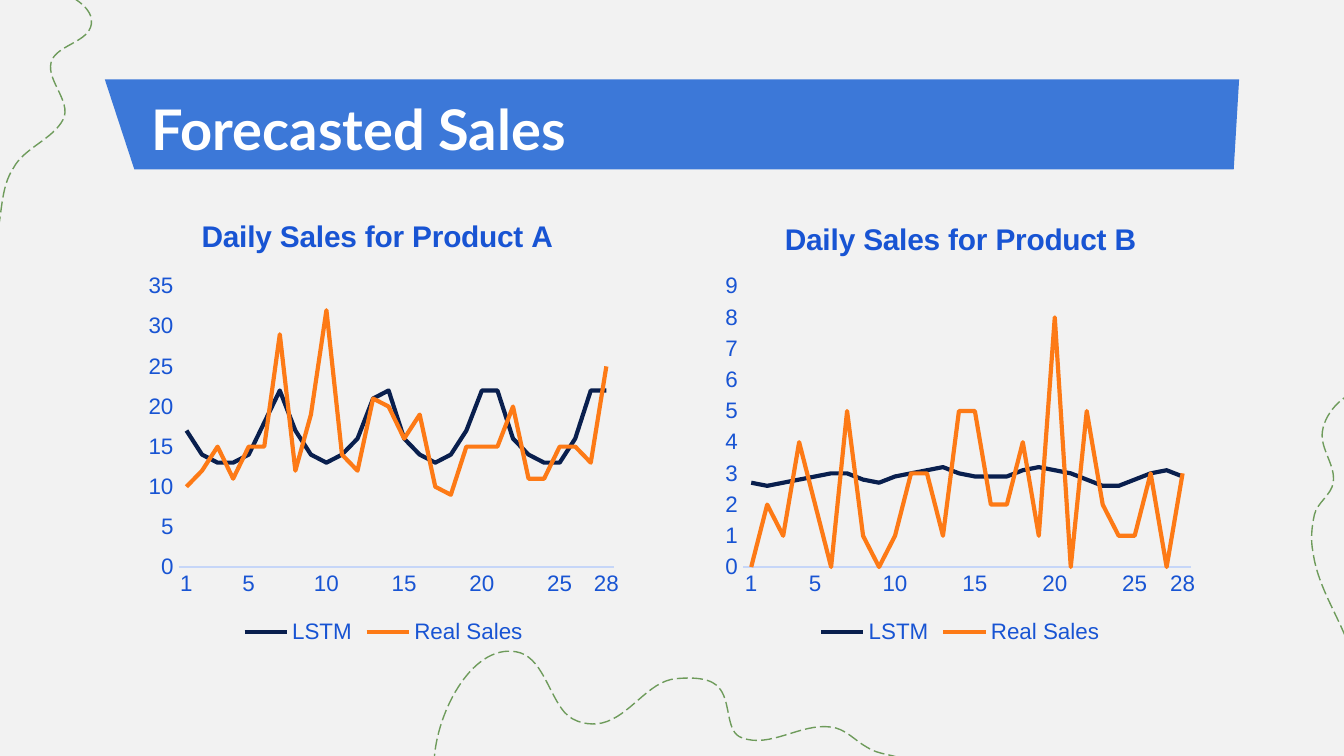
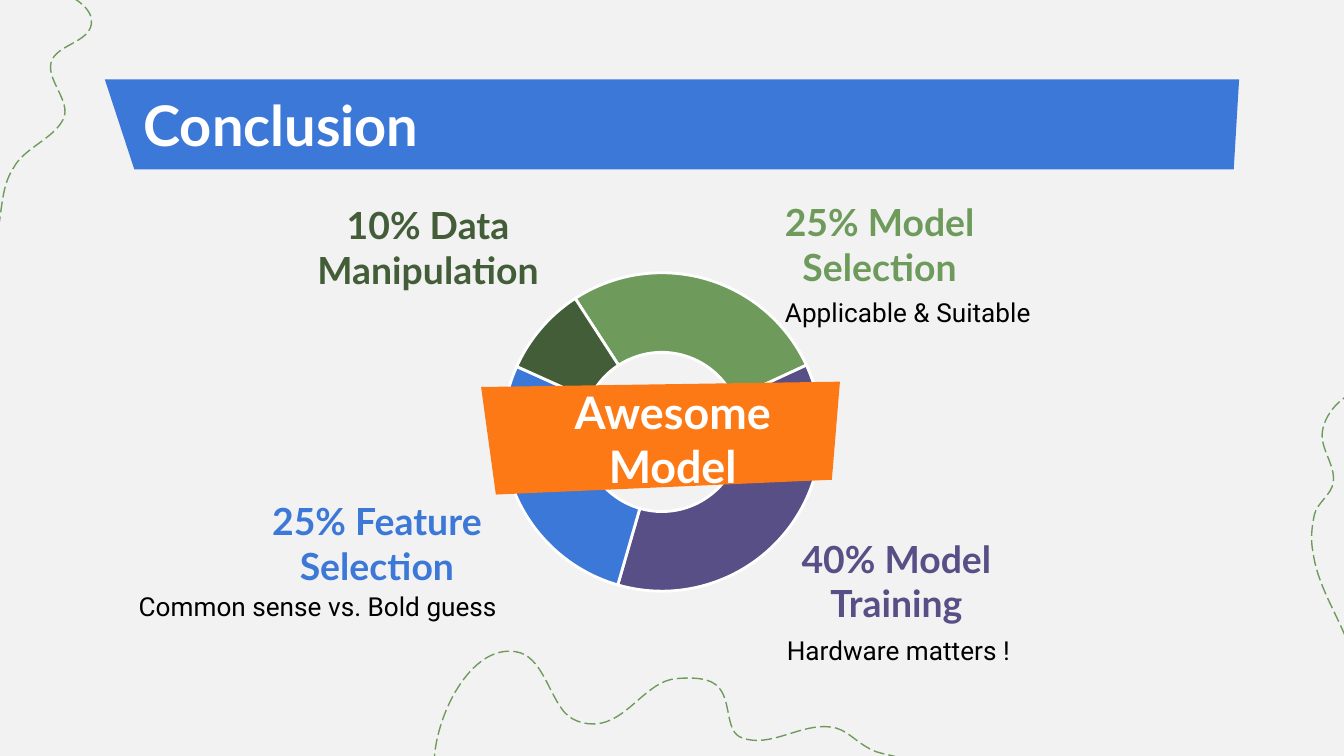
from collections import namedtuple

from lxml import etree
from pptx import Presentation
from pptx.chart.data import CategoryChartData
from pptx.dml.color import RGBColor
from pptx.enum.chart import XL_CHART_TYPE, XL_LEGEND_POSITION, XL_MARKER_STYLE, XL_TICK_MARK
from pptx.enum.dml import MSO_LINE
from pptx.enum.text import MSO_ANCHOR, PP_ALIGN
from pptx.oxml.ns import qn
from pptx.util import Inches, Pt

LINE_CHART = XL_CHART_TYPE.LINE
DOUGHNUT = XL_CHART_TYPE.DOUGHNUT
LEGEND_BOTTOM = XL_LEGEND_POSITION.BOTTOM
NO_MARKER = XL_MARKER_STYLE.NONE
NO_TICK = XL_TICK_MARK.NONE
LONG_DASH = MSO_LINE.LONG_DASH
MIDDLE = MSO_ANCHOR.MIDDLE
LEFT = PP_ALIGN.LEFT
CENTER = PP_ALIGN.CENTER

PAPER = RGBColor(0xF2, 0xF2, 0xF2)
WHITE = RGBColor(0xFF, 0xFF, 0xFF)
BLACK = RGBColor(0x00, 0x00, 0x00)
BLUE = RGBColor(0x3C, 0x78, 0xD8)
GREEN = RGBColor(0x6E, 0x9B, 0x5B)
DARK_GREEN = RGBColor(0x42, 0x5D, 0x37)
PURPLE = RGBColor(0x57, 0x4F, 0x85)
ORANGE = RGBColor(0xFD, 0x7A, 0x16)
RIBBON_ORANGE = RGBColor(0xFD, 0x79, 0x15)
NAVY = RGBColor(0x09, 0x1F, 0x4E)
CHART_BLUE = RGBColor(0x18, 0x54, 0xD3)
AXIS_BLUE = RGBColor(0xC6, 0xD6, 0xF8)

HEAD_FONT = "Lato"
NOTE_FONT = "Roboto"
CHART_FONT = "Arial"

Box = namedtuple("Box", "left top width height")

BAND = Box(0.78, 0.59, 8.44, 0.67)
BAND_CORNERS = [(0, 0), (0.22, 0.67), (8.4, 0.67), (8.44, 0)]
RIBBON_CORNERS = [(2.67, 0), (0, 0.04), (0.11, 0.84), (2.61, 0.73)]

WAVES = [
    [(3.23, 5.69), (3.23, 5.34), (3.5, 4.79), (3.84, 4.85),
     (4.03, 4.88), (4.08, 5.16), (4.2, 5.3), (4.27, 5.38), (4.39, 5.4), (4.48, 5.38),
     (4.69, 5.33), (4.82, 5.07), (5.03, 5.05), (5.15, 5.04), (5.3, 5.04), (5.36, 5.13),
     (5.44, 5.24), (5.4, 5.45), (5.52, 5.49), (5.73, 5.57), (5.96, 5.38), (6.18, 5.41),
     (6.29, 5.42), (6.36, 5.51), (6.45, 5.56), (6.54, 5.62), (6.65, 5.61), (6.74, 5.66)],
    [(0.44, -0.06), (0.55, -0.03), (0.7, 0.07), (0.68, 0.18),
     (0.66, 0.31), (0.45, 0.33), (0.39, 0.44), (0.32, 0.58), (0.54, 0.75), (0.47, 0.89),
     (0.39, 1.04), (0.18, 1.1), (0.1, 1.25), (0, 1.4), (0.02, 1.6), (-0.03, 1.77)],
    [(10.17, 2.9), (10.02, 2.9), (9.86, 3.06), (9.84, 3.21),
     (9.82, 3.34), (9.94, 3.46), (9.92, 3.59), (9.91, 3.68), (9.8, 3.74), (9.78, 3.83),
     (9.76, 3.92), (9.75, 4.02), (9.77, 4.11), (9.81, 4.41), (10.02, 4.66), (10.08, 4.95)],
]

DAYS = [str(day) if day in (1, 5, 10, 15, 20, 25, 28) else "" for day in range(1, 29)]
PRODUCT_A = {
    "LSTM": [17, 14, 13, 13, 14, 18, 22, 17, 14, 13, 14, 16, 21, 22,
             16, 14, 13, 14, 17, 22, 22, 16, 14, 13, 13, 16, 22, 22],
    "Real Sales": [10, 12, 15, 11, 15, 15, 29, 12, 19, 32, 14, 12, 21, 20,
                   16, 19, 10, 9, 15, 15, 15, 20, 11, 11, 15, 15, 13, 25],
}
PRODUCT_B = {
    "LSTM": [2.7, 2.6, 2.7, 2.8, 2.9, 3, 3, 2.8, 2.7, 2.9, 3, 3.1, 3.2, 3,
             2.9, 2.9, 2.9, 3.1, 3.2, 3.1, 3, 2.8, 2.6, 2.6, 2.8, 3, 3.1, 2.9],
    "Real Sales": [0, 2, 1, 4, 2, 0, 5, 1, 0, 1, 3, 3, 1, 5,
                   5, 2, 2, 4, 1, 8, 0, 5, 2, 1, 1, 3, 0, 3],
}

SHARES = [(27, GREEN), (36, PURPLE), (27, BLUE), (9, DARK_GREEN)]
HEADINGS = [
    ("10% Data Manipulation", Box(1.85, 1.63, 2.67, 0.42), DARK_GREEN, 0),
    ("25% Model Selection", Box(5.29, 1.54, 2.51, 0.55), GREEN, 4),
    ("25% Feature Selection", Box(1.61, 3.83, 2.39, 0.42), BLUE, 0),
    ("40% Model Training", Box(5.68, 4.11, 1.98, 0.42), PURPLE, 0),
]
NOTES = [
    ("Common sense vs. Bold guess", 0.9, 4.3),
    ("Applicable & Suitable", 5.29, 2.11),
    ("Hardware matters !", 5.22, 4.63),
]


def inches(box):
    """Turn a box or point into lengths."""
    return [Inches(value) for value in box]


def set_font(font, size, color, name=CHART_FONT, bold=False):
    """Set the look of a font."""
    font.name = name
    font.size = Pt(size)
    font.bold = bold
    font.color.rgb = color


def add_text(page, box, text, size=20, font=HEAD_FONT, color=WHITE, bold=True,
             align=CENTER, space_after=0):
    """Add a wrapped, vertically centred text box."""
    frame = page.shapes.add_textbox(*inches(box)).text_frame
    frame.word_wrap = True
    frame.vertical_anchor = MIDDLE
    frame.margin_left = frame.margin_right = Inches(0.1)
    frame.margin_top = frame.margin_bottom = Inches(0.1)
    para = frame.paragraphs[0]
    para.alignment = align
    para.space_after = Pt(space_after)
    span = para.add_run()
    span.text = text
    set_font(span.font, size, color, font, bold)


def add_outline(page, points, closed):
    """Draw straight segments through points given in inches."""
    start, *rest = [inches(point) for point in points]
    builder = page.shapes.build_freeform(*start, scale=1.0)
    builder.add_line_segments(rest, close=closed)
    shape = builder.convert_to_shape()
    shape.shadow.inherit = False
    return shape


def add_panel(page, box, corners, color):
    """Draw a filled polygon with corners relative to its box."""
    panel = add_outline(page, [(box.left + x, box.top + y) for x, y in corners], True)
    panel.fill.solid()
    panel.fill.fore_color.rgb = color
    panel.line.fill.background()


def add_wave(page, knots):
    """Draw a dashed chain of cubic curves."""
    wave = add_outline(page, knots[::3], False)
    segments = list(wave.element.iter(qn("a:lnTo")))
    for index, segment in enumerate(segments):
        segment.tag = qn("a:cubicBezTo")
        for place, knot in enumerate(knots[3 * index + 1:3 * index + 3]):
            x, y = inches(knot)
            control = etree.Element(qn("a:pt"), x=str(x - wave.left), y=str(y - wave.top))
            segment.insert(place, control)
    wave.fill.background()
    wave.line.color.rgb = GREEN
    wave.line.width = Pt(0.75)
    wave.line.dash_style = LONG_DASH


def add_page(deck, title, title_box):
    """Add a page with its background, band, waves and title."""
    page = deck.slides.add_slide(deck.slide_layouts[6])
    page.background.fill.solid()
    page.background.fill.fore_color.rgb = PAPER
    add_panel(page, BAND, BAND_CORNERS, BLUE)
    for knots in WAVES:
        add_wave(page, knots)
    add_text(page, title_box, title, size=30, align=LEFT)
    return page


def set_layout(parent, index, box, left, top, width=None, height=None):
    """Place a chart part, in inches, inside the chart's box."""
    layout = parent.find(qn("c:layout"))
    if layout is None:
        layout = etree.Element(qn("c:layout"))
        parent.insert(index, layout)
    manual = etree.SubElement(layout, qn("c:manualLayout"))
    settings = {"xMode": "edge", "yMode": "edge", "x": left / box.width, "y": top / box.height}
    if width:
        settings = {"layoutTarget": "inner", **settings,
                    "w": width / box.width, "h": height / box.height}
    for name, value in settings.items():
        etree.SubElement(manual, qn(f"c:{name}")).set("val", str(value))


def add_chart(page, box, kind, categories, series, plot_box):
    """Add a chart with its base font and plot area set."""
    data = CategoryChartData()
    data.categories = categories
    for name, values in series.items():
        data.add_series(name, values)
    chart = page.shapes.add_chart(kind, *inches(box), data).chart
    set_font(chart.font, 10, NAVY)
    chart.plots[0].vary_by_categories = False
    set_layout(chart.element.find(".//" + qn("c:plotArea")), 0, box, *plot_box)
    return chart


def add_sales_chart(page, box, title, series, top_value, unit, title_at, plot_box):
    """Add one line chart of forecast and real sales."""
    chart = add_chart(page, box, LINE_CHART, DAYS, series, plot_box)
    chart.has_title = True
    span = chart.chart_title.text_frame.paragraphs[0].add_run()
    span.text = title
    set_font(span.font, 16, CHART_BLUE, bold=True)
    set_layout(chart.element.find(".//" + qn("c:title")), 1, box, *title_at)
    chart.has_legend = True
    chart.legend.position = LEGEND_BOTTOM
    chart.legend.include_in_layout = False
    set_font(chart.legend.font, 12, CHART_BLUE)
    for axis in (chart.category_axis, chart.value_axis):
        axis.has_major_gridlines = False
        axis.major_tick_mark = axis.minor_tick_mark = NO_TICK
        set_font(axis.tick_labels.font, 12, CHART_BLUE)
    chart.category_axis.format.line.color.rgb = AXIS_BLUE
    chart.category_axis.format.line.width = Pt(0.75)
    chart.value_axis.format.line.fill.background()
    chart.value_axis.minimum_scale = 0
    chart.value_axis.maximum_scale = top_value
    chart.value_axis.major_unit = unit
    for line, color in zip(chart.plots[0].series, (NAVY, ORANGE)):
        line.smooth = False
        line.marker.style = NO_MARKER
        line.format.line.color.rgb = color
        line.format.line.width = Pt(2.25)


def add_share_ring(page, box):
    """Add the doughnut of effort shares."""
    values = [share for share, _ in SHARES]
    chart = add_chart(page, box, DOUGHNUT, ["1", "2", "3", "4"], {"Series 1": values},
                      Box(0.8, 0.13, 2.37, 2.37))
    chart.has_legend = False
    chart.has_title = False
    chart.element.find(".//" + qn("c:firstSliceAng")).set("val", "327")
    chart.element.find(".//" + qn("c:holeSize")).set("val", "75")
    for index, (_, color) in enumerate(SHARES):
        look = chart.plots[0].series[0].points[index].format
        look.fill.solid()
        look.fill.fore_color.rgb = color
        look.line.color.rgb = WHITE
        look.line.width = Pt(1.5)


def add_forecast_page(deck):
    """Build the page with two sales charts."""
    page = add_page(deck, "Forecasted Sales", Box(1.03, 0.64, 8.44, 0.63))
    add_sales_chart(page, Box(1.03, 1.48, 3.65, 3.35), "Daily Sales for Product A",
                    PRODUCT_A, 35, 5, (0.43, 0.1), Box(0.3, 0.65, 3.24, 2.09))
    add_sales_chart(page, Box(5.32, 1.48, 3.65, 3.35), "Daily Sales for Product B",
                    PRODUCT_B, 9, 1, (0.48, 0.12), Box(0.21, 0.65, 3.33, 2.09))


def add_conclusion_page(deck):
    """Build the page with the share ring and its labels."""
    page = add_page(deck, "Conclusion", Box(0.97, 0.61, 8.44, 0.63))
    for text, box, color, space_after in HEADINGS:
        add_text(page, box, text, color=color, space_after=space_after)
    add_share_ring(page, Box(2.94, 1.9, 3.95, 2.64))
    for text, left, top in NOTES:
        add_text(page, Box(left, top, 2.93, 0.42), text, size=14, font=NOTE_FONT,
                 color=BLACK, bold=False)
    add_panel(page, Box(3.58, 2.84, 2.67, 0.85), RIBBON_CORNERS, RIBBON_ORANGE)
    add_text(page, Box(3.81, 2.67, 2.39, 1.19), "Awesome Model", size=24)


def main():
    """Build and save the deck."""
    deck = Presentation()
    deck.slide_width = Inches(10)
    deck.slide_height = Inches(5.625)
    add_forecast_page(deck)
    add_conclusion_page(deck)
    deck.save("out.pptx")


if __name__ == "__main__":
    main()
